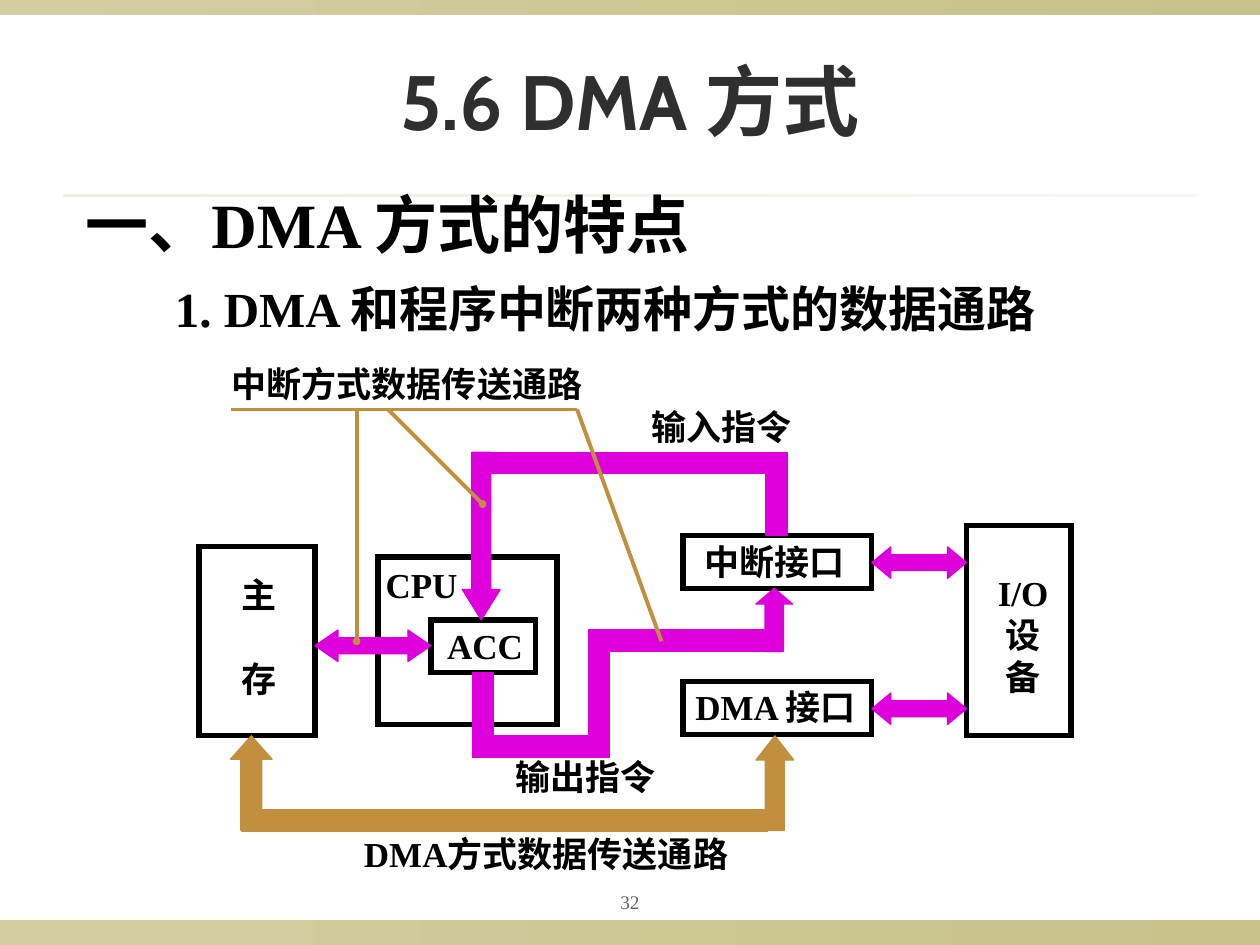
from dataclasses import dataclass

import lxml.etree
import pptx
import pptx.dml.color
import pptx.enum.shapes
import pptx.enum.text
import pptx.oxml.ns
import pptx.util

Inches = pptx.util.Inches
Shape = pptx.enum.shapes.MSO_SHAPE
Align = pptx.enum.text.PP_ALIGN
Anchor = pptx.enum.text.MSO_ANCHOR
qn = pptx.oxml.ns.qn

BLACK, MAGENTA, OCHRE = "000000", "DD00DD", "C28F3E"
SERIF = "Times New Roman"


@dataclass
class Box:
    left: float
    top: float
    width: float
    height: float


@dataclass
class Band:
    box: Box
    start: str
    end: str


@dataclass
class Label:
    box: Box
    lines: tuple[str, ...]
    size: float = 20
    color: str = BLACK
    bold: bool = True
    align: Align = Align.LEFT
    anchor: Anchor = Anchor.TOP
    inset: float = 0.1
    wrap: bool = False
    gap: float = 0


@dataclass
class Channel:
    kind: Shape
    box: Box
    color: str = MAGENTA
    head: float | None = None


@dataclass
class Leader:
    start: tuple[float, float]
    end: tuple[float, float]
    dot: bool = False


def rgb(value: str) -> pptx.dml.color.RGBColor:
    return pptx.dml.color.RGBColor.from_string(value)


def place(box: Box) -> tuple[int, ...]:
    return tuple(Inches(n) for n in (box.left, box.top, box.width, box.height))


def write(paragraph, text: str, size: float, font: str, color: str, bold: bool) -> None:
    run = paragraph.add_run()
    run.text = text
    run.font.size = pptx.util.Pt(size)
    run.font.name = font
    run.font.bold = bold
    run.font.color.rgb = rgb(color)


def draw_band(slide, band: Band) -> None:
    strip = slide.shapes.add_shape(Shape.RECTANGLE, *place(band.box))
    strip.shadow.inherit = False
    strip.line.fill.background()
    strip.fill.gradient()
    strip.fill.gradient_angle = 0
    for stop, color in zip(strip.fill.gradient_stops, (band.start, band.end)):
        stop.color.rgb = rgb(color)


def draw_label(slide, label: Label) -> None:
    frame = slide.shapes.add_textbox(*place(label.box)).text_frame
    frame.word_wrap = label.wrap
    frame.vertical_anchor = label.anchor
    frame.margin_left = frame.margin_right = Inches(label.inset)
    frame.margin_top = frame.margin_bottom = Inches(0.05)
    for index, line in enumerate(label.lines):
        paragraph = frame.add_paragraph() if index else frame.paragraphs[0]
        paragraph.alignment = label.align
        if index and label.gap:
            paragraph.space_before = pptx.util.Pt(label.gap)
        write(paragraph, line, label.size, SERIF, label.color, label.bold)


def draw_unit(slide, box: Box) -> None:
    unit = slide.shapes.add_shape(Shape.RECTANGLE, *place(box))
    unit.shadow.inherit = False
    unit.fill.background()
    unit.line.color.rgb = rgb(BLACK)
    unit.line.width = pptx.util.Pt(3)
    outline = unit._element.spPr.find(qn("a:ln"))
    lxml.etree.SubElement(outline, qn("a:miter"), lim="800000")


def draw_channel(slide, channel: Channel) -> None:
    piece = slide.shapes.add_shape(channel.kind, *place(channel.box))
    piece.shadow.inherit = False
    piece.fill.solid()
    piece.fill.fore_color.rgb = rgb(channel.color)
    piece.line.color.rgb = rgb(channel.color)
    piece.line.width = pptx.util.Pt(0.75)
    if channel.head is not None:
        piece.adjustments[0] = 0.5
        piece.adjustments[1] = channel.head


def draw_leader(slide, leader: Leader) -> None:
    ends = [Inches(n) for n in (*leader.start, *leader.end)]
    line = slide.shapes.add_connector(pptx.enum.shapes.MSO_CONNECTOR.STRAIGHT, *ends)
    line.line.color.rgb = rgb(OCHRE)
    line.line.width = pptx.util.Pt(2.25)
    properties = line._element.spPr
    if leader.dot:
        lxml.etree.SubElement(properties.find(qn("a:ln")), qn("a:tailEnd"),
                              type="oval", w="sm", len="sm")
    lxml.etree.SubElement(properties, qn("a:effectLst"))


BANDS = [
    Band(Box(0, 7.3, 10, 0.2), "D3CEA1", "C8C18A"),
    Band(Box(0, 0, 10, 0.12), "D3CEA1", "C8C18A"),
    Band(Box(0.5, 1.54, 9, 0.02), "EDECE5", "F8F7F5"),
]
HEADINGS = [
    Label(Box(4.5, 7, 1, 0.31), ("32",), 11, "636363", False, Align.CENTER,
          Anchor.MIDDLE, 0.05, True),
    Label(Box(0.58, 1.42, 5.58, 0.7), ("一、DMA 方式的特点",), 36, wrap=True),
    Label(Box(1.29, 2.16, 7.14, 0.57), ("1. DMA 和程序中断两种方式的数据通路",), 28),
]
UNITS = [
    Box(3, 4.42, 1.42, 1.33),
    Box(1.58, 4.34, 0.92, 1.5),
    Box(3.42, 4.92, 0.83, 0.42),
    Box(5.42, 4.25, 1.5, 0.42),
    Box(5.42, 5.41, 1.5, 0.42),
    Box(7.67, 4.17, 0.83, 1.67),
]
UNIT_NAMES = [
    Label(Box(3, 4.42, 1.25, 0.44), ("CPU",), inset=0.06, wrap=True),
    Label(Box(1.82, 4.5, 0.48, 1.1), ("主", "存"), gap=24),
    Label(Box(3.45, 4.91, 0.8, 0.42), ("ACC",)),
    Label(Box(5.49, 4.24, 1.4, 0.44), ("中断接口",)),
    Label(Box(5.42, 5.39, 1.56, 0.44), ("DMA 接口",)),
    Label(Box(7.82, 4.49, 0.6, 1.1), ("I/O", "设", "备"), align=Align.CENTER),
]
CHANNELS = [
    Channel(Shape.RECTANGLE, Box(3.75, 5.34, 0.17, 0.58)),
    Channel(Shape.RECTANGLE, Box(3.75, 5.84, 1, 0.17)),
    Channel(Shape.RECTANGLE, Box(4.67, 5.09, 0.17, 0.92)),
    Channel(Shape.RECTANGLE, Box(4.67, 5, 1.5, 0.17)),
    Channel(Shape.UP_ARROW, Box(6, 4.67, 0.29, 0.5), head=0.43),
    Channel(Shape.RECTANGLE, Box(6.08, 3.67, 0.17, 0.58)),
    Channel(Shape.RECTANGLE, Box(3.75, 3.59, 2.5, 0.17)),
    Channel(Shape.DOWN_ARROW, Box(3.67, 3.59, 0.3, 1.33), head=0.8),
    Channel(Shape.LEFT_RIGHT_ARROW, Box(2.5, 5, 0.92, 0.25), head=0.73),
    Channel(Shape.LEFT_RIGHT_ARROW, Box(6.92, 4.34, 0.75, 0.25), head=0.6),
    Channel(Shape.LEFT_RIGHT_ARROW, Box(6.92, 5.5, 0.75, 0.25), head=0.6),
    Channel(Shape.UP_ARROW, Box(1.83, 5.84, 0.33, 0.75), OCHRE, 0.56),
    Channel(Shape.RECTANGLE, Box(1.92, 6.43, 4.17, 0.17), OCHRE),
    Channel(Shape.UP_ARROW, Box(6, 5.84, 0.3, 0.75), OCHRE, 0.64),
]
LEADERS = [
    Leader((1.83, 3.25), (4.58, 3.25)),
    Leader((2.83, 3.25), (2.83, 5.09), True),
    Leader((3.08, 3.25), (3.83, 4), True),
    Leader((4.58, 3.25), (5.25, 5.09)),
]
PATH_NAMES = [
    Label(Box(1.74, 2.83, 2.98, 0.44), ("中断方式数据传送通路",)),
    Label(Box(5.07, 3.17, 1.31, 0.44), ("输入指令",)),
    Label(Box(3.99, 5.95, 1.31, 0.44), ("输出指令",)),
    Label(Box(2.79, 6.56, 3.16, 0.44), ("DMA方式数据传送通路",)),
]


def main() -> None:
    deck = pptx.Presentation()
    deck.slide_width, deck.slide_height = Inches(10), Inches(7.5)
    slide = deck.slides.add_slide(deck.slide_layouts[5])
    title = slide.shapes.title
    title.left, title.top, title.width, title.height = place(Box(0.75, 0.17, 8.5, 1.25))
    title.text_frame.vertical_anchor = Anchor.MIDDLE
    heading = title.text_frame.paragraphs[0]
    heading.alignment = Align.CENTER
    write(heading, "5.6 DMA 方式", 44, "Cabin", "2F2F2F", True)

    for draw, parts in (
        (draw_band, BANDS),
        (draw_label, HEADINGS),
        (draw_unit, UNITS),
        (draw_label, UNIT_NAMES),
        (draw_channel, CHANNELS),
        (draw_leader, LEADERS),
        (draw_label, PATH_NAMES),
    ):
        for part in parts:
            draw(slide, part)
    deck.save("out.pptx")


if __name__ == "__main__":
    main()
